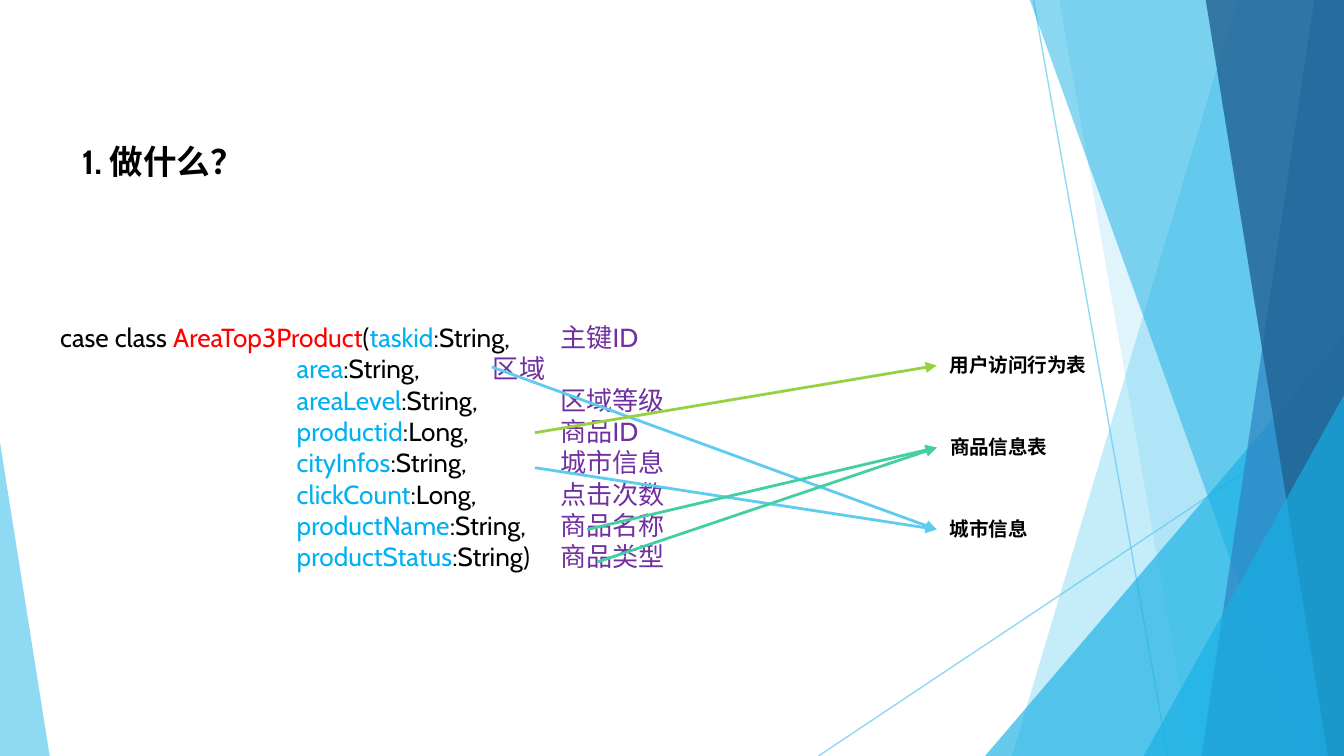
from lxml.etree import SubElement
from pptx import Presentation
from pptx.dml.color import RGBColor
from pptx.enum.shapes import MSO_CONNECTOR, MSO_SHAPE
from pptx.enum.text import MSO_ANCHOR, PP_ALIGN
from pptx.oxml.ns import qn
from pptx.util import Inches, Pt

# Content
HEADING = "1. 做什么？"
CLASS_OPENING = [("case class ", "text"), ("AreaTop3Product", "class_name"), ("(", "text")]
FIELDS = [  # name, type, meaning
    ("taskid", ":String,", "主键ID"),
    ("area", ":String,", "区域"),
    ("areaLevel", ":String,", "区域等级"),
    ("productid", ":Long,", "商品ID"),
    ("cityInfos", ":String,", "城市信息"),
    ("clickCount", ":Long,", "点击次数"),
    ("productName", ":String,", "商品名称"),
    ("productStatus", ":String)", "商品类型"),
]
SOURCE_TABLES = ["用户访问行为表", "商品信息表", "城市信息"]
MAPPINGS = [  # start of the arrow, index of its source table, colour
    ((3.66, 2.73), 2, "sky"),
    ((3.98, 3.48), 2, "sky"),
    ((3.98, 3.22), 0, "lime"),
    ((4.37, 3.94), 1, "mint"),
    ((4.45, 4.18), 1, "mint"),
]

THEME = {
    "font": "Cabin",
    "size": {"heading": 18, "code": 14, "label": 10.5},
    "color": {
        "text": "000000", "class_name": "FF0000", "field": "00B0F0", "meaning": "7030A0",
        "sky": "5FCBEF", "lime": "96D141", "mint": "42D0A2",
        "azure": "17B0E4", "blue": "2E83C3", "navy": "226292",
    },
}

# Layout, a 16:9 slide
WIDTH = 10
HEIGHT = WIDTH * 9 / 16
TOP = -0.01
FIELD_TAB, MEANING_TAB, SHORT_MEANING_TAB = 1.76, 3.72, 3.22
LABEL_LEFT, LABEL_TOP, LABEL_STEP = 6.97, 2.58, 0.61

# Background: thin lines, then facets from back to front
HAIRLINES = [((7.69, 0), (8.69, HEIGHT)), ((WIDTH, 3.02), (6.09, HEIGHT))]
FACETS = [  # kind, top and bottom left x or triangle left, top and width, colour, opacity
    ("band", (9.21, 7.53), "sky", 36),
    ("band", (7.88, 8.87), "sky", 20),
    ("right triangle", (7.33, 2.5, 2.67), "azure", 66),
    ("band", (7.66, 9.68), "azure", 50),
    ("band", (9.78, 8.94), "blue", 70),
    ("band", (8.97, 9.88), "navy", 80),
    ("right triangle", (8.51, 2.94, 1.49), "azure", 66),
    ("left triangle", (0, 3.29, 0.37), "sky", 70),
]


def rgb(color):
    return RGBColor.from_string(THEME["color"][color])


def set_opacity(properties, percent):
    color = next(properties.iter(qn("a:srgbClr")))
    SubElement(color, qn("a:alpha"), val=str(percent * 1000))


def add_line(slide, start, end, color, width):
    line = slide.shapes.add_connector(
        MSO_CONNECTOR.STRAIGHT, *[Inches(v) for v in (*start, *end)])
    line.line.color.rgb = rgb(color)
    line.line.width = Pt(width)
    properties = line._element.spPr
    SubElement(properties, qn("a:effectLst"))
    return properties


def add_facet(slide, kind, geometry, color, opacity):
    if kind == "band":
        top_left, bottom_left = geometry
        outline = slide.shapes.build_freeform(Inches(top_left), Inches(TOP))
        corners = [(WIDTH, TOP), (WIDTH, HEIGHT), (bottom_left, HEIGHT)]
        outline.add_line_segments([(Inches(x), Inches(y)) for x, y in corners], close=True)
        facet = outline.convert_to_shape()
    else:
        left, top, width = geometry
        facet = slide.shapes.add_shape(
            MSO_SHAPE.ISOSCELES_TRIANGLE,
            *[Inches(v) for v in (left, top, width, HEIGHT - top)])
        facet.adjustments[0] = 1 if kind == "right triangle" else 0
    facet.shadow.inherit = False
    facet.line.fill.background()
    facet.fill.solid()
    facet.fill.fore_color.rgb = rgb(color)
    set_opacity(facet._element.spPr, opacity)


def add_run(paragraph, text, color, size, bold=False):
    run = paragraph.add_run()
    run.text = text
    run.font.name = THEME["font"]
    run.font.size = Pt(THEME["size"][size])
    run.font.bold = bold
    run.font.color.rgb = rgb(color)


def add_text_box(slide, *box):
    frame = slide.shapes.add_textbox(*[Inches(v) for v in box]).text_frame
    frame.word_wrap = True
    return frame


def set_tabs(paragraph, *positions):
    tabs = SubElement(paragraph._p.get_or_add_pPr(), qn("a:tabLst"))
    for position in positions:
        SubElement(tabs, qn("a:tab"), pos=str(Inches(position)), algn="l")


def main():
    deck = Presentation()
    deck.slide_width, deck.slide_height = Inches(WIDTH), Inches(HEIGHT)
    slide = deck.slides.add_slide(deck.slide_layouts[5])

    for start, end in HAIRLINES:
        set_opacity(add_line(slide, start, end, "sky", 0.75), 70)
    for facet in FACETS:
        add_facet(slide, *facet)

    # Heading
    title = slide.shapes.title
    title.left, title.top, title.width, title.height = [
        Inches(v) for v in (0.51, 1, 1.42, 0.4)]
    title.text_frame.vertical_anchor = MSO_ANCHOR.TOP
    heading = title.text_frame.paragraphs[0]
    heading.alignment = PP_ALIGN.LEFT
    add_run(heading, HEADING, "text", "heading", bold=True)

    # Case class, one field a line
    code = add_text_box(slide, 0.35, 2.34, 5.43, 1.99)
    for index, (field, kind, meaning) in enumerate(FIELDS):
        row = code.paragraphs[0] if index == 0 else code.add_paragraph()
        meaning_tab = SHORT_MEANING_TAB if field == "area" else MEANING_TAB
        if index == 0:
            set_tabs(row, meaning_tab)
            opening = CLASS_OPENING
        else:
            set_tabs(row, FIELD_TAB, meaning_tab)
            opening = [("\t", "text")]
        for text, color in opening + [
                (field, "field"), (kind + "\t", "text"), (meaning, "meaning")]:
            add_run(row, text, color, "code")

    # Source tables and the arrows to them
    for index, (table_name, width) in enumerate(zip(SOURCE_TABLES, (2.36, 1.02, 0.87))):
        label = add_text_box(slide, LABEL_LEFT, LABEL_TOP + index * LABEL_STEP, width, 0.29)
        add_run(label.paragraphs[0], table_name, "text", "label", bold=True)
    for start, table, color in MAPPINGS:
        end = (LABEL_LEFT, LABEL_TOP + 0.14 + table * LABEL_STEP)
        arrow = add_line(slide, start, end, color, 1.5)
        SubElement(arrow.find(qn("a:ln")), qn("a:tailEnd"), type="triangle")

    deck.save("out.pptx")


if __name__ == "__main__":
    main()
